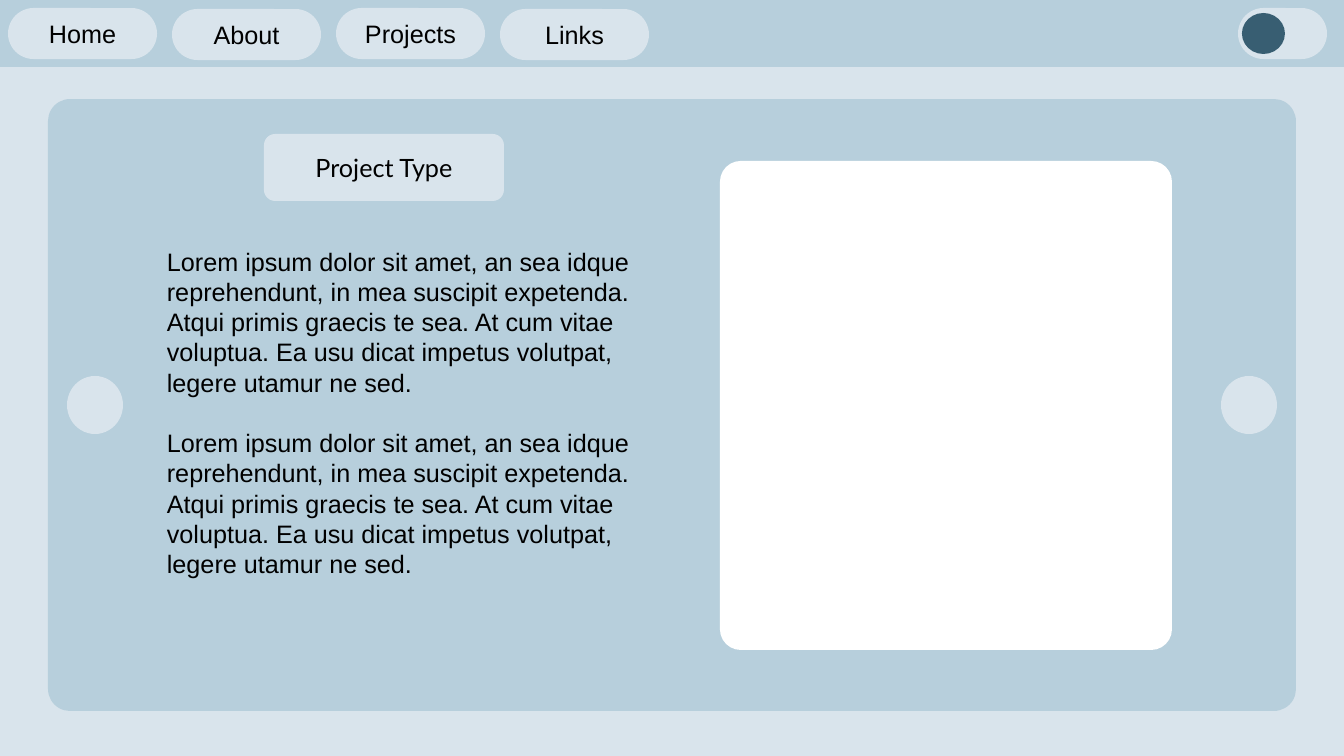
from pptx import Presentation
from pptx.dml.color import RGBColor
from pptx.enum.shapes import MSO_SHAPE
from pptx.enum.text import MSO_ANCHOR, PP_ALIGN
from pptx.util import Pt

RECTANGLE = MSO_SHAPE.RECTANGLE
ROUNDED = MSO_SHAPE.ROUNDED_RECTANGLE
CIRCLE = MSO_SHAPE.FLOWCHART_CONNECTOR
MIDDLE = MSO_ANCHOR.MIDDLE
CENTER = PP_ALIGN.CENTER

PALE = RGBColor(0xD9, 0xE4, 0xEC)
BLUE = RGBColor(0xB7, 0xCF, 0xDC)
NAVY = RGBColor(0x38, 0x5E, 0x72)
WHITE = RGBColor(0xFF, 0xFF, 0xFF)
BLACK = RGBColor(0x00, 0x00, 0x00)

PX = 12192000 / 1344
LOREM = (
    "Lorem ipsum dolor sit amet, an sea idque reprehendunt, in mea suscipit "
    "expetenda. Atqui primis graecis te sea. At cum vitae voluptua. Ea usu dicat "
    "impetus volutpat, legere utamur ne sed."
)


def px(*lengths):
    return [round(length * PX) for length in lengths]


def add_block(kind, box, color, rounding=None, label=None, font="Arial"):
    block = slide.shapes.add_shape(kind, *px(*box))
    block.shadow.inherit = False
    block.fill.solid()
    block.fill.fore_color.rgb = color
    block.line.fill.background()
    if rounding is not None:
        block.adjustments[0] = rounding
    if label:
        block.text_frame.vertical_anchor = MIDDLE
        caption = block.text_frame.paragraphs[0]
        caption.text = label
        caption.alignment = CENTER
        caption.font.size = Pt(18)
        caption.font.name = font
        caption.font.color.rgb = BLACK


prs = Presentation()
prs.slide_width, prs.slide_height = px(1344, 756)
slide = prs.slides.add_slide(prs.slide_layouts[6])

add_block(RECTANGLE, (0, 0, 1344, 756), PALE)
add_block(RECTANGLE, (0, 0, 1344, 67), BLUE)

add_block(ROUNDED, (1238, 8, 89, 51), PALE, 0.5)
add_block(CIRCLE, (1242, 13, 43, 41), NAVY)

for index, page in enumerate(["Home", "About", "Projects", "Links"]):
    add_block(ROUNDED, (8 + 164 * index, 8 + index % 2, 149, 51), PALE, 0.5, page)

add_block(ROUNDED, (48, 99, 1248, 612), BLUE, 0.036)
add_block(ROUNDED, (264, 134, 240, 67), PALE, 0.167, "Project Type", "Lato")

for arrow_left in (67, 1221):
    add_block(CIRCLE, (arrow_left, 376, 56, 58), PALE)

description = slide.shapes.add_textbox(*px(157, 241, 539, 346)).text_frame
description.word_wrap = True
for index in range(2):
    paragraph = description.add_paragraph() if index else description.paragraphs[0]
    paragraph.text = LOREM
    paragraph.line_spacing = Pt(21.6)
    paragraph.space_before = Pt(21.6 * index)
    paragraph.font.size = Pt(18)
    paragraph.font.name = "Arial"
    paragraph.font.color.rgb = BLACK

add_block(ROUNDED, (720, 161, 452, 489), WHITE, 0.046)

prs.save("out.pptx")
